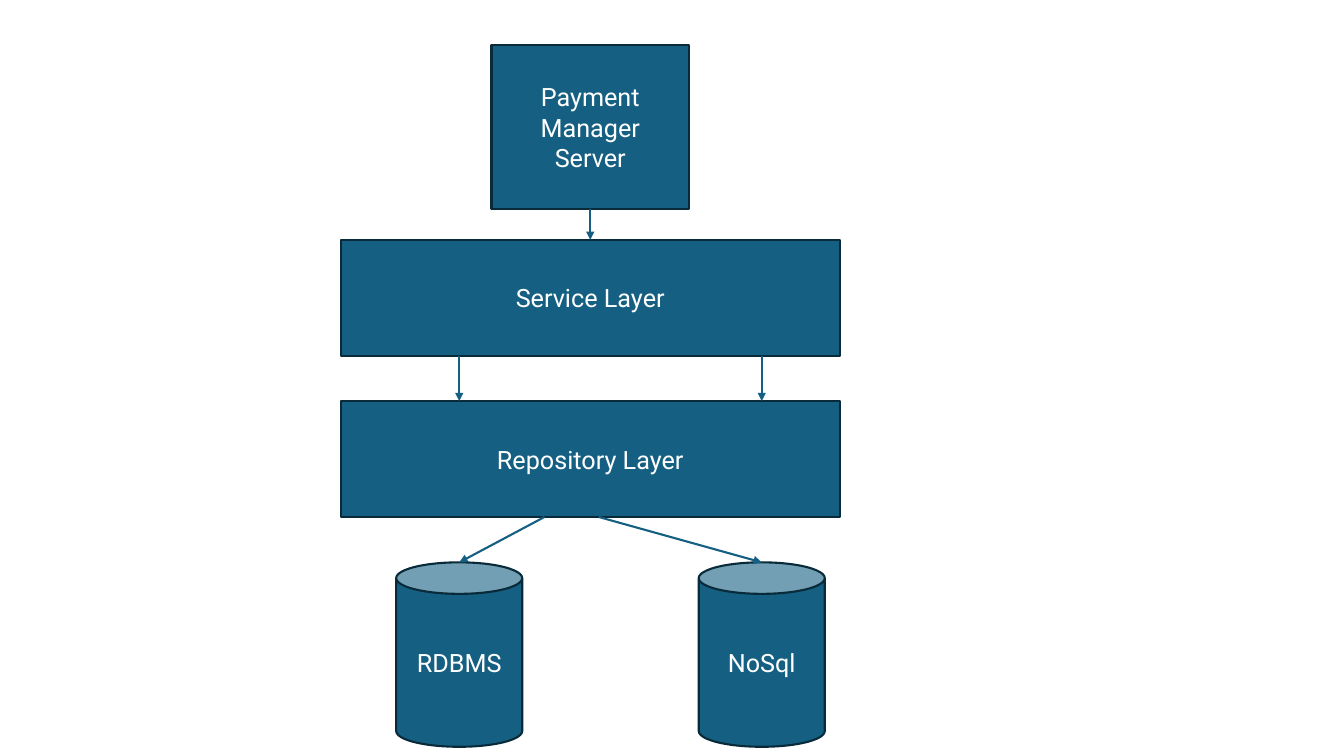
import dataclasses

import pptx
import pptx.dml.color
import pptx.enum.shapes
import pptx.enum.text
import pptx.oxml
import pptx.oxml.ns
import pptx.util

MSO = pptx.enum.shapes.MSO_SHAPE
COLORS = {"fill": "156082", "edge": "092A39", "text": "FFFFFF"}
FONT = {"name": "Roboto", "size": pptx.util.Pt(18)}
FRAME = {"word_wrap": True, "vertical_anchor": pptx.enum.text.MSO_ANCHOR.MIDDLE}
LINE_WIDTH = pptx.util.Pt(1.5)
SLIDE_W, SLIDE_H = pptx.util.Inches(13.33), pptx.util.Inches(7.5)

# Columns and rows, in percent of the slide's width and height
CENTER, SQL, NOSQL = 43.92, 34.17, 56.68
SERVER_TOP, SERVER_H = 6, 21.6
LAYER_W, LAYER_H = 37.13, 15.33
STORE_W, STORE_H = 9.38, 24.4
SERVICE_TOP, REPOSITORY_TOP, STORE_TOP = (31.73 + 21.33 * i for i in range(3))
SERVICE_END, REPOSITORY_END = SERVICE_TOP + LAYER_H, REPOSITORY_TOP + LAYER_H


@dataclasses.dataclass
class Block:
    lines: list[str]
    center: float
    top: float
    width: float
    height: float
    kind: MSO = MSO.RECTANGLE


@dataclasses.dataclass
class Arrow:
    x1: float
    y1: float
    x2: float
    y2: float


BLOCKS = [
    Block(["Payment Manager", "Server"], CENTER, SERVER_TOP, 14.7, SERVER_H),
    Block(["Service Layer"], CENTER, SERVICE_TOP, LAYER_W, LAYER_H),
    Block(["Repository Layer"], CENTER, REPOSITORY_TOP, LAYER_W, LAYER_H),
    Block(["RDBMS"], SQL, STORE_TOP, STORE_W, STORE_H, MSO.CAN),
    Block(["NoSql"], NOSQL, STORE_TOP, STORE_W, STORE_H, MSO.CAN),
]
ARROWS = [
    Arrow(CENTER, SERVER_TOP + SERVER_H, CENTER, SERVICE_TOP),
    Arrow(SQL, SERVICE_END, SQL, REPOSITORY_TOP),
    Arrow(NOSQL, SERVICE_END, NOSQL, REPOSITORY_TOP),
    Arrow(40.51, REPOSITORY_END, SQL, STORE_TOP),
    Arrow(44.56, REPOSITORY_END, NOSQL, STORE_TOP),
]


def rgb(name: str) -> pptx.dml.color.RGBColor:
    return pptx.dml.color.RGBColor.from_string(COLORS[name])


def px(share: float) -> int:
    return round(SLIDE_W * share / 100)


def py(share: float) -> int:
    return round(SLIDE_H * share / 100)


def apply(target: object, values: dict) -> None:
    for key, value in values.items():
        setattr(target, key, value)


def draw_block(s: pptx.slide.Slide, b: Block) -> None:
    sp = s.shapes.add_shape(b.kind, px(b.center - b.width / 2), py(b.top),
                            px(b.width), py(b.height))
    sp.shadow.inherit = False
    sp.fill.solid()
    sp.fill.fore_color.rgb = rgb("fill")
    sp.line.color.rgb = rgb("edge")
    sp.line.width = LINE_WIDTH
    tf = sp.text_frame
    apply(tf, FRAME)
    tf.text = "\n".join(b.lines)
    for p in tf.paragraphs:
        p.alignment = pptx.enum.text.PP_ALIGN.CENTER
        for r in p.runs:
            apply(r.font, FONT)
            r.font.color.rgb = rgb("text")


def draw_arrow(s: pptx.slide.Slide, a: Arrow) -> None:
    c = s.shapes.add_connector(pptx.enum.shapes.MSO_CONNECTOR.STRAIGHT,
                               px(a.x1), py(a.y1), px(a.x2), py(a.y2))
    c.line.color.rgb = rgb("fill")
    c.line.width = LINE_WIDTH
    ns = pptx.oxml.ns.nsdecls("a")
    c.line._get_or_add_ln().append(
        pptx.oxml.parse_xml(f'<a:tailEnd {ns} type="triangle"/>'))
    c._element.spPr.append(pptx.oxml.parse_xml(f"<a:effectLst {ns}/>"))


def main() -> None:
    prs = pptx.Presentation()
    apply(prs, {"slide_width": SLIDE_W, "slide_height": SLIDE_H})
    s = prs.slides.add_slide(prs.slide_layouts[6])
    # Server, layers and data stores
    for block in BLOCKS:
        draw_block(s, block)
    # Flow between them
    for arrow in ARROWS:
        draw_arrow(s, arrow)
    prs.save("out.pptx")


if __name__ == "__main__":
    main()
